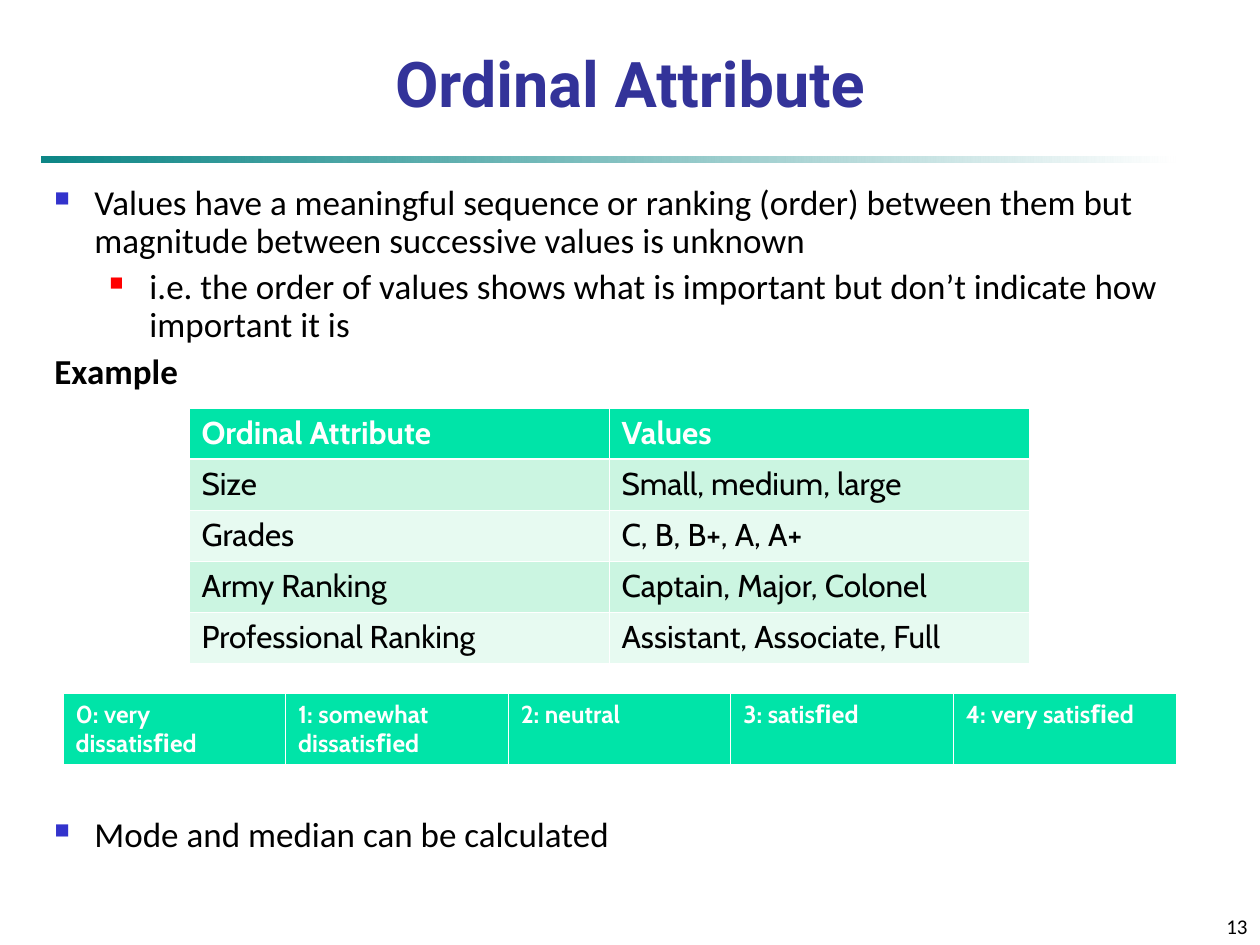
from lxml import etree
from pptx import Presentation
from pptx.dml.color import RGBColor
from pptx.enum.shapes import MSO_SHAPE
from pptx.enum.text import MSO_ANCHOR, PP_ALIGN
from pptx.oxml.ns import qn
from pptx.util import Pt

EMU_PER_PX = 914400 / 126
RECTANGLE = MSO_SHAPE.RECTANGLE
TOP, BOTTOM = MSO_ANCHOR.TOP, MSO_ANCHOR.BOTTOM
LEFT, CENTER, RIGHT = PP_ALIGN.LEFT, PP_ALIGN.CENTER, PP_ALIGN.RIGHT


def px(length):
    return round(length * EMU_PER_PX)


def color(value):
    return RGBColor.from_string(value)


def element(parent, tag, **attributes):
    return etree.SubElement(parent, qn(tag), attributes)


def write(paragraph, text, font="Calibri", size=20, ink="000000", bold=False, align=LEFT):
    paragraph.alignment = align
    run = paragraph.add_run()
    run.text = text
    run.font.name = font
    run.font.size = Pt(size)
    run.font.bold = bold
    run.font.color.rgb = color(ink)


class SlideBuilder:
    """Holds the style and the current slide, and draws each kind of element."""

    title_ink = "333399"
    table_font = "Cabin"
    header_fill = "00E4A8"
    row_fills = ("CBF5E1", "E7FAF1")
    border = "FFFFFF"
    thin, thick = 0.45, 1.47
    bullets = (("3333CC", 60), ("FF0000", 55))
    level_indents = (40, 95)
    hanging = 40

    def __init__(self, slide):
        self.slide = slide

    def gradient_rule(self, box, start, end, opacity):
        rule = self.slide.shapes.add_shape(RECTANGLE, *map(px, box))
        rule.shadow.inherit = False
        rule.line.fill.background()
        rule.fill.gradient()
        rule.fill.gradient_angle = 0
        for stop, value in zip(rule.fill.gradient_stops, (start, end)):
            stop.color.rgb = color(value)
        first_color = next(rule.element.spPr.iter(qn("a:srgbClr")))
        element(first_color, "a:alpha", val=str(opacity * 1000))

    def text_frame(self, box, anchor=TOP):
        frame = self.slide.shapes.add_textbox(*map(px, box)).text_frame
        frame.word_wrap = True
        frame.vertical_anchor = anchor
        return frame

    def label(self, box, text, **style):
        write(self.text_frame(box, BOTTOM).paragraphs[0], text, **style)

    def outline(self, box, items):
        frame = self.text_frame(box)
        for index, (text, level, bulleted, space, bold) in enumerate(items):
            paragraph = frame.paragraphs[0] if index == 0 else frame.add_paragraph()
            paragraph.level = level
            paragraph.line_spacing = 0.9
            paragraph.space_before = Pt(space)
            write(paragraph, text, bold=bold)
            properties = paragraph._p.get_or_add_pPr()
            properties.set("marL", str(px(self.level_indents[level])))
            properties.set("indent", str(-px(self.hanging)))
            if bulleted:
                ink, percent = self.bullets[level]
                element(element(properties, "a:buClr"), "a:srgbClr", val=ink)
                element(properties, "a:buSzPct", val=str(percent * 1000))
                element(properties, "a:buChar", char="■")

    def cell_borders(self, cell, widths):
        properties = cell._tc.get_or_add_tcPr()
        for position, (side, width) in enumerate(zip("LRTB", widths)):
            line = element(properties, f"a:ln{side}", w=str(Pt(width)))
            element(element(line, "a:solidFill"), "a:srgbClr", val=self.border)
            properties.insert(position, line)

    def table(self, box, rows, size):
        left, top, width, height = map(px, box)
        columns = len(rows[0])
        grid = self.slide.shapes.add_table(len(rows), columns, left, top, width, height).table
        for row_index, row in enumerate(rows):
            header = row_index == 0
            fill = self.header_fill if header else self.row_fills[(row_index - 1) % 2]
            upper = self.thick if row_index == 1 else self.thin
            lower = self.thick if header else self.thin
            for column_index, text in enumerate(row):
                cell = grid.cell(row_index, column_index)
                cell.fill.solid()
                cell.fill.fore_color.rgb = color(fill)
                self.cell_borders(cell, (self.thin, self.thin, upper, lower))
                write(cell.text_frame.paragraphs[0], text, font=self.table_font, size=size,
                      ink="FFFFFF" if header else "000000", bold=header)


def main():
    presentation = Presentation()
    presentation.slide_width, presentation.slide_height = px(1260), px(945)
    builder = SlideBuilder(presentation.slides.add_slide(presentation.slide_layouts[6]))

    builder.gradient_rule((42, 157, 1134, 6), "008080", "FFFFFF", opacity=95)
    builder.label((0, 42, 1260, 84), "Ordinal Attribute", font="Roboto", size=36,
                  ink=builder.title_ink, bold=True, align=CENTER)
    builder.outline((42, 179, 1155, 714), [
        ("Values have a meaningful sequence or ranking (order) between them but "
         "magnitude between successive values is unknown", 0, True, 5, False),
        ("i.e. the order of values shows what is important but don’t indicate how "
         "important it is", 1, True, 5, False),
        ("Example", 0, False, 5, True),
        ("Mode and median can be calculated", 0, True, 243, False),
    ])
    builder.label((1134, 892, 126, 53), "13", size=12, align=RIGHT)
    builder.table((189, 408, 840, 255), [
        ("Ordinal Attribute", "Values"),
        ("Size", "Small, medium, large"),
        ("Grades", "C, B, B+, A, A+"),
        ("Army Ranking", "Captain, Major, Colonel"),
        ("Professional Ranking", "Assistant, Associate, Full"),
    ], size=18)
    builder.table((63, 693, 1113, 72), [
        ("0: very dissatisﬁed", "1: somewhat dissatisﬁed", "2: neutral",
         "3: satisﬁed", "4: very satisﬁed"),
    ], size=14)
    presentation.save("out.pptx")


if __name__ == "__main__":
    main()
